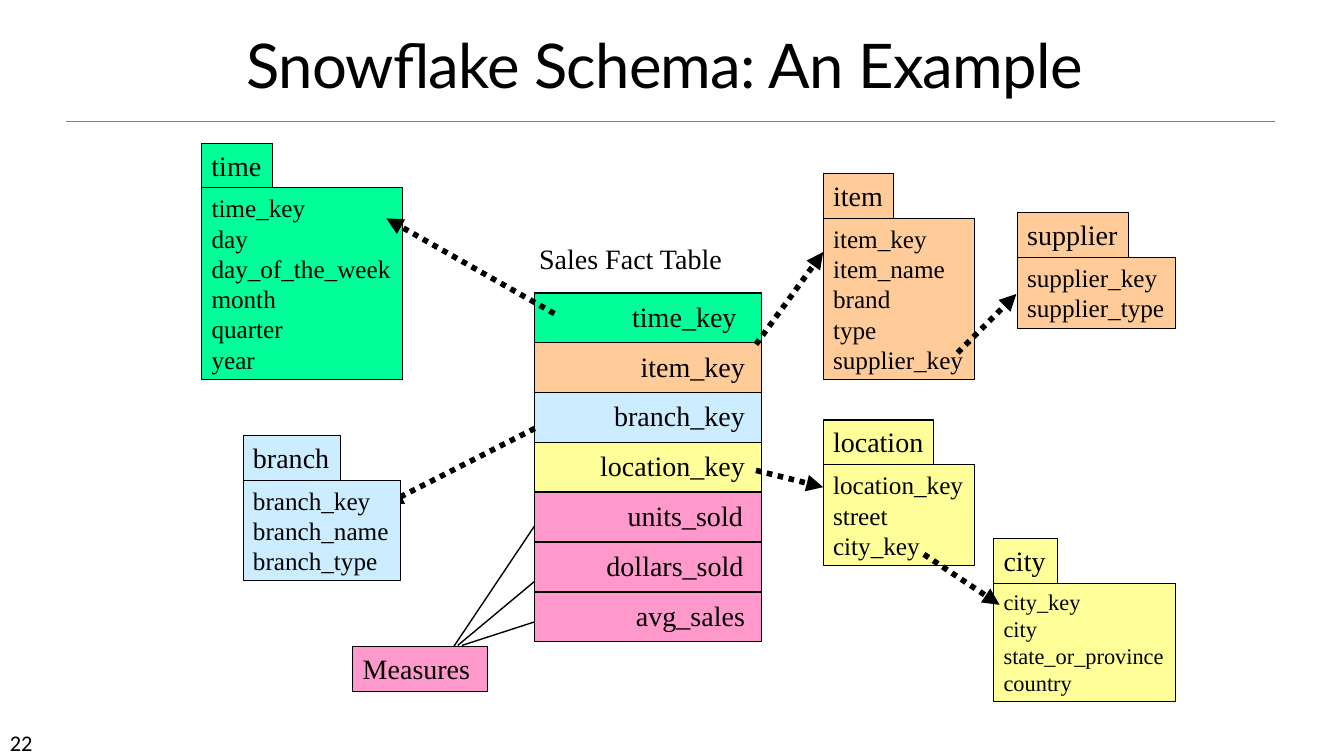
"""Build the snowflake schema example slide."""
from lxml.etree import SubElement
from pptx import Presentation
from pptx.dml.color import RGBColor
from pptx.enum.dml import MSO_LINE
from pptx.enum.shapes import MSO_CONNECTOR, MSO_SHAPE
from pptx.enum.text import MSO_ANCHOR, MSO_AUTO_SIZE, PP_ALIGN
from pptx.oxml.ns import qn
from pptx.util import Pt

SERIF = "Times New Roman"
BLACK, GREEN, ORANGE = "000000", "00FF99", "FFCC99"
BLUE, YELLOW, PINK = "CCECFF", "FFFF99", "FF99CC"
HEAD_H = 32
FACT_X, FACT_Y, FACT_W, ROW_H = 381.6, 209.2, 162.6, 35.6

FACT_ROWS = [
    ("time_key", GREEN, 18),
    ("item_key", ORANGE, 12),
    ("branch_key", BLUE, 12),
    ("location_key", YELLOW, 12),
    ("units_sold", PINK, 13.5),
    ("dollars_sold", PINK, 13),
    ("avg_sales", PINK, 12),
]


def rgb(color):
    return RGBColor.from_string(color)


def write(sp, lines, size, font=SERIF, align=PP_ALIGN.LEFT):
    tf = sp.text_frame
    tf.auto_size = MSO_AUTO_SIZE.NONE
    tf.vertical_anchor = MSO_ANCHOR.TOP
    tf.word_wrap = False
    tf.margin_left = tf.margin_right = Pt(7.2)
    tf.margin_top = tf.margin_bottom = Pt(3.6)
    tf.text = "\n".join(lines)
    for p in tf.paragraphs:
        p.alignment = align
        for r in p.runs:
            r.font.name, r.font.size = font, Pt(size)
            r.font.color.rgb = rgb(BLACK)
    return tf


def add_label(s, text, x, y, w, h, size, font=SERIF):
    sp = s.shapes.add_textbox(Pt(x), Pt(y), Pt(w), Pt(h))
    write(sp, [text], size, font)


def add_box(s, lines, x, y, w, h, fill, size=20, border=0.75, align=PP_ALIGN.LEFT):
    sp = s.shapes.add_shape(MSO_SHAPE.RECTANGLE, Pt(x), Pt(y), Pt(w), Pt(h))
    sp.shadow.inherit = False
    sp.fill.solid()
    sp.fill.fore_color.rgb = rgb(fill)
    sp.line.color.rgb = rgb(BLACK)
    sp.line.width = Pt(border)
    return write(sp, lines, size, align=align)


def add_dimension(s, name, fields, x, y, head_w, body_w, fill, size=18):
    body_h = 1.2 * size * len(fields) + 7.2
    add_box(s, fields, x, y + HEAD_H, body_w, body_h, fill, size)
    add_box(s, [name], x, y, head_w, HEAD_H, fill)


def add_fact_table(s):
    add_label(s, "Sales Fact Table", 378, 169.2, 146, HEAD_H, 20)
    for i, (field, fill, indent) in enumerate(FACT_ROWS):
        tf = add_box(s, [field], FACT_X, FACT_Y + i * ROW_H, FACT_W, ROW_H, fill,
                     border=1, align=PP_ALIGN.RIGHT)
        tf.margin_right = Pt(indent)
        tf.margin_top = Pt(4.6)


def add_line(s, x1, y1, x2, y2, color=BLACK, width=1):
    ln = s.shapes.add_connector(MSO_CONNECTOR.STRAIGHT, Pt(x1), Pt(y1), Pt(x2), Pt(y2))
    ln.line.color.rgb = rgb(color)
    ln.line.width = Pt(width)
    SubElement(ln._element.spPr, qn("a:effectLst"))
    return ln


def add_arrow(s, x1, y1, x2, y2):
    ln = add_line(s, x1, y1, x2, y2, width=4)
    ln.line.dash_style = MSO_LINE.ROUND_DOT
    SubElement(ln.line._get_or_add_ln(), qn("a:tailEnd"), type="triangle")


def add_title(s, text):
    sp = s.shapes.title
    sp.left, sp.top, sp.width, sp.height = Pt(27.4), Pt(22.3), Pt(895), Pt(53.3)
    tf = write(sp, [text], 44, "Lato", PP_ALIGN.CENTER)
    tf.vertical_anchor = MSO_ANCHOR.BOTTOM
    p = tf.paragraphs[0]
    p.line_spacing = 0.85
    p.runs[0]._r.get_or_add_rPr().set("spc", "-50")


def main():
    prs = Presentation()
    prs.slide_width, prs.slide_height = Pt(960), Pt(540)
    s = prs.slides.add_slide(prs.slide_layouts[5])
    add_title(s, "Snowflake Schema: An Example")
    add_line(s, 46.8, 86.6, 910.8, 86.6, "808080", 0.5)
    add_label(s, "22", 0, 517, 84, 21.6, 16, "Calibri")

    add_dimension(s, "time", ["time_key", "day", "day_of_the_week", "month", "quarter", "year"],
                  144, 102.2, 50.4, 143.4, GREEN)
    add_dimension(s, "location", ["location_key", "street", "city_key"],
                  588, 300, 79.2, 108, YELLOW)
    add_fact_table(s)
    add_box(s, ["Measures"], 252, 462, 96, HEAD_H, PINK)
    for x, y, row_y in [(324, 462, 376), (327, 461, 415.5), (330, 461, 444.3)]:
        add_line(s, x, y, FACT_X, row_y)

    add_arrow(s, 382, 306, 276, 360)
    add_arrow(s, 396, 224, 276, 156)
    add_arrow(s, 540, 336, 588, 348)
    add_arrow(s, 540, 246, 588, 180)

    add_dimension(s, "item", ["item_key", "item_name", "brand", "type", "supplier_key"],
                  588, 124, 50.4, 108, ORANGE)
    add_dimension(s, "branch", ["branch_key", "branch_name", "branch_type"],
                  173.6, 311, 70, 112.4, BLUE)
    add_dimension(s, "supplier", ["supplier_key", "supplier_type"],
                  726.6, 152, 79.2, 113, ORANGE)
    add_arrow(s, 684, 252, 726, 210)
    add_dimension(s, "city", ["city_key", "city", "state_or_province", "country"],
                  709.8, 384.8, 45.4, 130.2, YELLOW, 16)
    add_arrow(s, 660, 396, 714, 432)
    prs.save("out.pptx")


if __name__ == "__main__":
    main()
